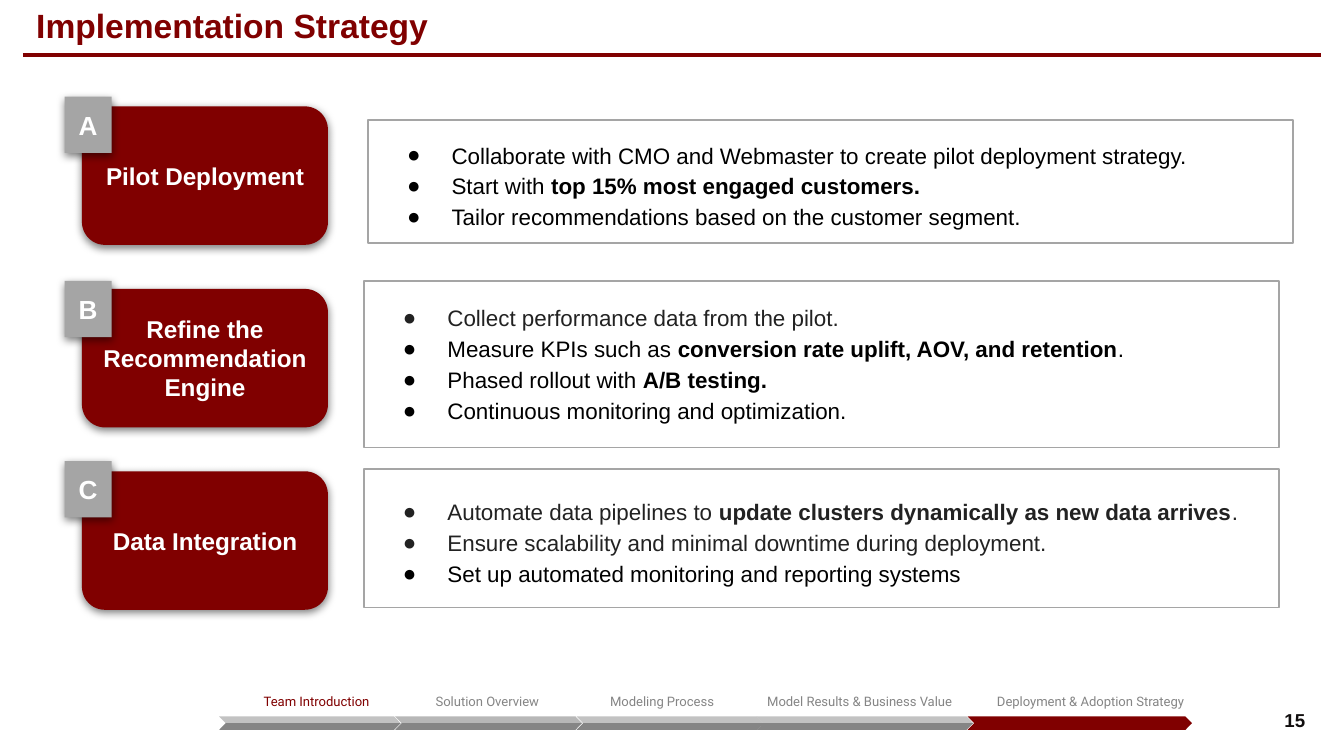
from dataclasses import dataclass
from typing import NamedTuple

from lxml import etree
from pptx import Presentation
from pptx.dml.color import RGBColor
from pptx.enum.shapes import MSO_CONNECTOR, MSO_SHAPE
from pptx.enum.text import MSO_ANCHOR, MSO_AUTO_SIZE, PP_ALIGN
from pptx.oxml.ns import qn
from pptx.util import Pt

RECT, ROUNDED = MSO_SHAPE.RECTANGLE, MSO_SHAPE.ROUNDED_RECTANGLE
SLANTED = MSO_SHAPE.PARALLELOGRAM
LEFT, CENTER, RIGHT = PP_ALIGN.LEFT, PP_ALIGN.CENTER, PP_ALIGN.RIGHT
TOP, MIDDLE = MSO_ANCHOR.TOP, MSO_ANCHOR.MIDDLE

MAROON = RGBColor(0x80, 0x00, 0x00)
WHITE = RGBColor(0xFF, 0xFF, 0xFF)
BLACK = RGBColor(0x00, 0x00, 0x00)
CHARCOAL = RGBColor(0x22, 0x22, 0x22)
NUMBER_INK = RGBColor(0x11, 0x0E, 0x0E)
GRAY = RGBColor(0xA5, 0xA5, 0xA5)
DARK_GRAY = RGBColor(0x85, 0x85, 0x85)
LIGHT_GRAY = RGBColor(0xC2, 0xC2, 0xC2)
MID_GRAY = RGBColor(0xB7, 0xB7, 0xB7)


class Box(NamedTuple):
    left: float
    top: float
    width: float
    height: float

    def points(self):
        return [Pt(length) for length in self]


class Span(NamedTuple):
    text: str
    bold: bool = False


class Bullet(NamedTuple):
    spans: list[Span]
    color: RGBColor = BLACK


@dataclass
class Step:
    letter: str
    name: str
    card_top: float
    badge_top: float
    panel: Box
    bullets: list[Bullet]
    panel_bottom_inset: float = 5.8


@dataclass
class Stage:
    name: str
    label_left: float
    label_width: float
    band_left: float
    band_width: float
    label_color: RGBColor = DARK_GRAY
    upper_color: RGBColor = LIGHT_GRAY
    lower_color: RGBColor = DARK_GRAY
    align: PP_ALIGN = CENTER


STEPS = [
    Step("A", "Pilot Deployment", 57, 51.8, Box(197.3, 64.1, 495.4, 66.2), [
        Bullet([Span("Collaborate with CMO and Webmaster to create pilot deployment strategy.")]),
        Bullet([Span("Start with "), Span("top 15% most engaged customers.", True)]),
        Bullet([Span("Tailor recommendations based on the customer segment.")]),
    ]),
    Step("B", "Refine the Recommendation Engine", 154.8, 150.5, Box(195.1, 150.5, 490.3, 89.3), [
        Bullet([Span("Collect performance data from the pilot.")], CHARCOAL),
        Bullet([Span("Measure KPIs such as "),
                Span("conversion rate uplift, AOV, and retention", True), Span(".")]),
        Bullet([Span("Phased rollout with "), Span("A/B testing.", True)]),
        Bullet([Span("Continuous monitoring and optimization.")]),
    ], panel_bottom_inset=11),
    Step("C", "Data Integration", 252.5, 247, Box(195.1, 251.3, 490.3, 74.2), [
        Bullet([Span("Automate data pipelines to "),
                Span("update clusters dynamically as new data arrives", True),
                Span(".")], CHARCOAL),
        Bullet([Span("Ensure scalability and minimal downtime during deployment.")], CHARCOAL),
        Bullet([Span("Set up automated monitoring and reporting systems")]),
    ]),
]

STAGES = [
    Stage("Team Introduction", 123.1, 92.9, 117.4, 97.2, label_color=MAROON),
    Stage("Solution Overview", 200.2, 121.7, 211.7, 100.1, upper_color=MID_GRAY),
    Stage("Modeling Process", 293.8, 121.7, 308.9, 100.1),
    Stage("Model Results & Business Value", 403.9, 135.4, 405.4, 115.9, align=LEFT),
    Stage("Deployment & Adoption Strategy", 507.2, 154, 518.4, 120.2,
          upper_color=MAROON, lower_color=MAROON),
]


def set_frame(shape, insets=(7.2, 3.6, 7.2, 3.6), anchor=MIDDLE):
    frame = shape.text_frame
    frame.word_wrap = True
    frame.auto_size = MSO_AUTO_SIZE.NONE
    frame.vertical_anchor = anchor
    frame.margin_left, frame.margin_top, frame.margin_right, frame.margin_bottom = map(Pt, insets)
    return frame


def write(paragraph, text: str, *, size: float, color: RGBColor, bold=False,
          font="Arial", align=LEFT, spacing=1.0):
    paragraph.alignment = align
    paragraph.line_spacing = spacing
    run = paragraph.add_run()
    run.text = text
    run.font.name, run.font.size, run.font.bold = font, Pt(size), bold
    run.font.color.rgb = color


def add_bullet(paragraph, color: RGBColor):
    properties = paragraph._p.get_or_add_pPr()
    properties.set("marL", str(Pt(36)))
    properties.set("indent", str(Pt(-23.8)))
    bullet_color = etree.SubElement(properties, qn("a:buClr"))
    etree.SubElement(bullet_color, qn("a:srgbClr"), val=str(color))
    etree.SubElement(properties, qn("a:buFont"), typeface="Arial")
    etree.SubElement(properties, qn("a:buChar"), char="●")


def add_block(shapes, kind, box: Box, fill: RGBColor, outline=None, raised=False):
    block = shapes.add_shape(kind, *box.points())
    block.fill.solid()
    block.fill.fore_color.rgb = fill
    if outline is None:
        block.line.fill.background()
    else:
        block.line.color.rgb = outline
        block.line.width = Pt(1)
    block.shadow.inherit = False
    if raised:
        effects = block.element.spPr.find(qn("a:effectLst"))
        shadow = etree.SubElement(effects, qn("a:outerShdw"), blurRad=str(Pt(4.5)),
                                  dist=str(Pt(1.5)), dir="5400000", algn="t", rotWithShape="0")
        ink = etree.SubElement(shadow, qn("a:srgbClr"), val=str(BLACK))
        etree.SubElement(ink, qn("a:alpha"), val="50000")
    return block


def draw_step(shapes, step: Step):
    card = add_block(shapes, ROUNDED, Box(43.9, step.card_top, 131.8, 74.2), MAROON, raised=True)
    write(set_frame(card, (7.2,) * 4).paragraphs[0], step.name,
          size=13, color=WHITE, bold=True, align=CENTER)
    badge = add_block(shapes, RECT, Box(34.6, step.badge_top, 25.2, 30.2), GRAY, raised=True)
    write(set_frame(badge).paragraphs[0], step.letter,
          size=14, color=WHITE, bold=True, align=CENTER)
    panel = add_block(shapes, RECT, step.panel, WHITE, outline=GRAY)
    frame = set_frame(panel, (8.6, 8.6, 0, step.panel_bottom_inset))
    for index, bullet in enumerate(step.bullets):
        paragraph = frame.add_paragraph() if index else frame.paragraphs[0]
        add_bullet(paragraph, bullet.color)
        for span in bullet.spans:
            write(paragraph, span.text, size=12, color=bullet.color,
                  bold=span.bold, spacing=1.15)


def draw_stage(shapes, stage: Stage):
    label = shapes.add_textbox(*Box(stage.label_left, 362.9, stage.label_width, 18.7).points())
    write(set_frame(label, (7.2,) * 4, TOP).paragraphs[0], stage.name, size=7,
          color=stage.label_color, font="Roboto", align=stage.align, spacing=1.15)
    # Two mirrored halves form one arrow band
    for top, color, mirrored in ((383.8, stage.upper_color, True),
                                 (387.4, stage.lower_color, False)):
        half = add_block(shapes, SLANTED, Box(stage.band_left, top, stage.band_width, 3.6), color)
        half.adjustments[0] = 0.97
        if mirrored:
            half.element.spPr.get_or_add_xfrm().set("flipH", "1")


def main():
    deck = Presentation()
    deck.slide_width, deck.slide_height = Pt(720), Pt(405)
    slide = deck.slides.add_slide(deck.slide_layouts[5])
    shapes = slide.shapes

    # Title and its rule
    title = shapes.title
    title.left, title.top, title.width, title.height = Box(12.2, -7.9, 695.5, 43.2).points()
    write(set_frame(title).paragraphs[0], "Implementation Strategy",
          size=18, color=MAROON, bold=True)
    rule = shapes.add_connector(MSO_CONNECTOR.STRAIGHT, Pt(12.2), Pt(29.5), Pt(707.8), Pt(29.5))
    rule.line.color.rgb = MAROON
    rule.line.width = Pt(2)
    etree.SubElement(rule.element.spPr, qn("a:effectLst"))

    # Strategy steps
    for step in STEPS:
        draw_step(shapes, step)

    # Progress tracker
    tracker = shapes.add_group_shape()
    for stage in STAGES:
        draw_stage(tracker.shapes, stage)

    # Page number
    page_number = shapes.add_textbox(*Box(666, 375.1, 40.3, 21.6).points())
    write(set_frame(page_number).paragraphs[0], "15",
          size=10, color=NUMBER_INK, bold=True, align=RIGHT)

    deck.save("out.pptx")


if __name__ == "__main__":
    main()
